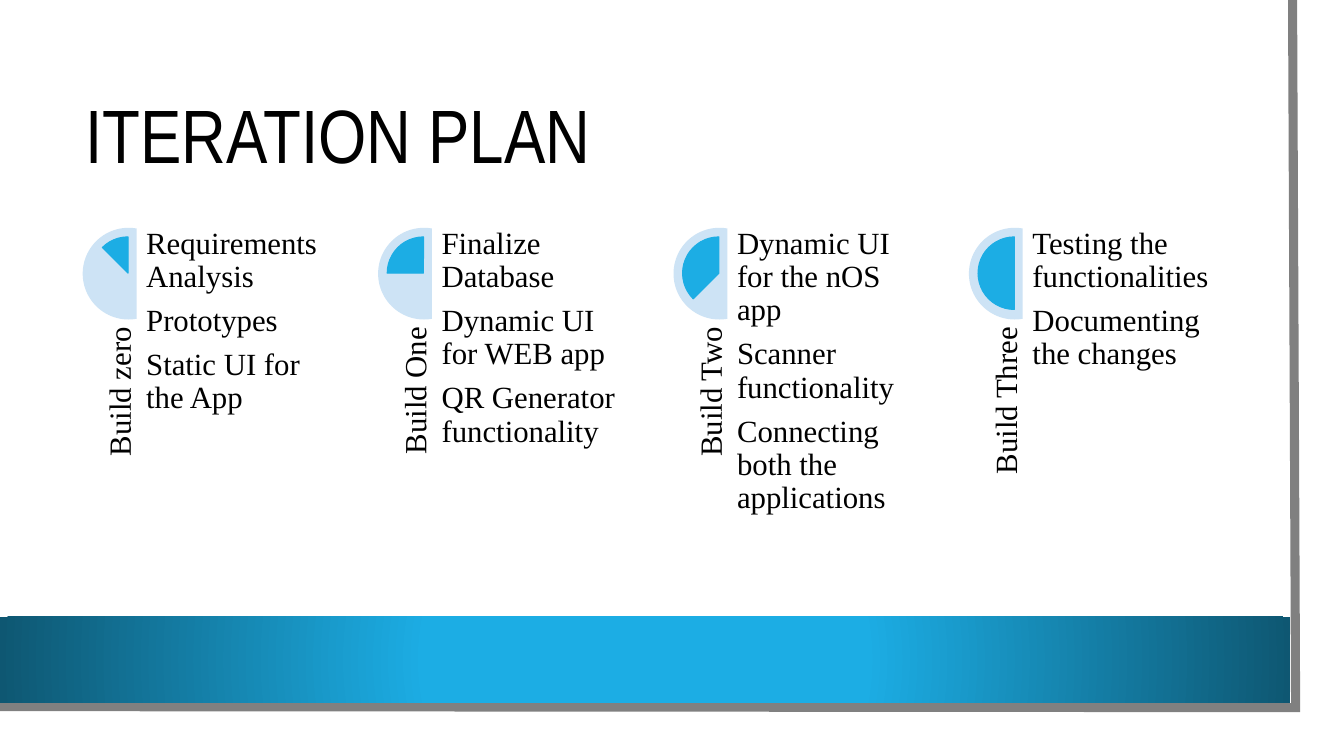
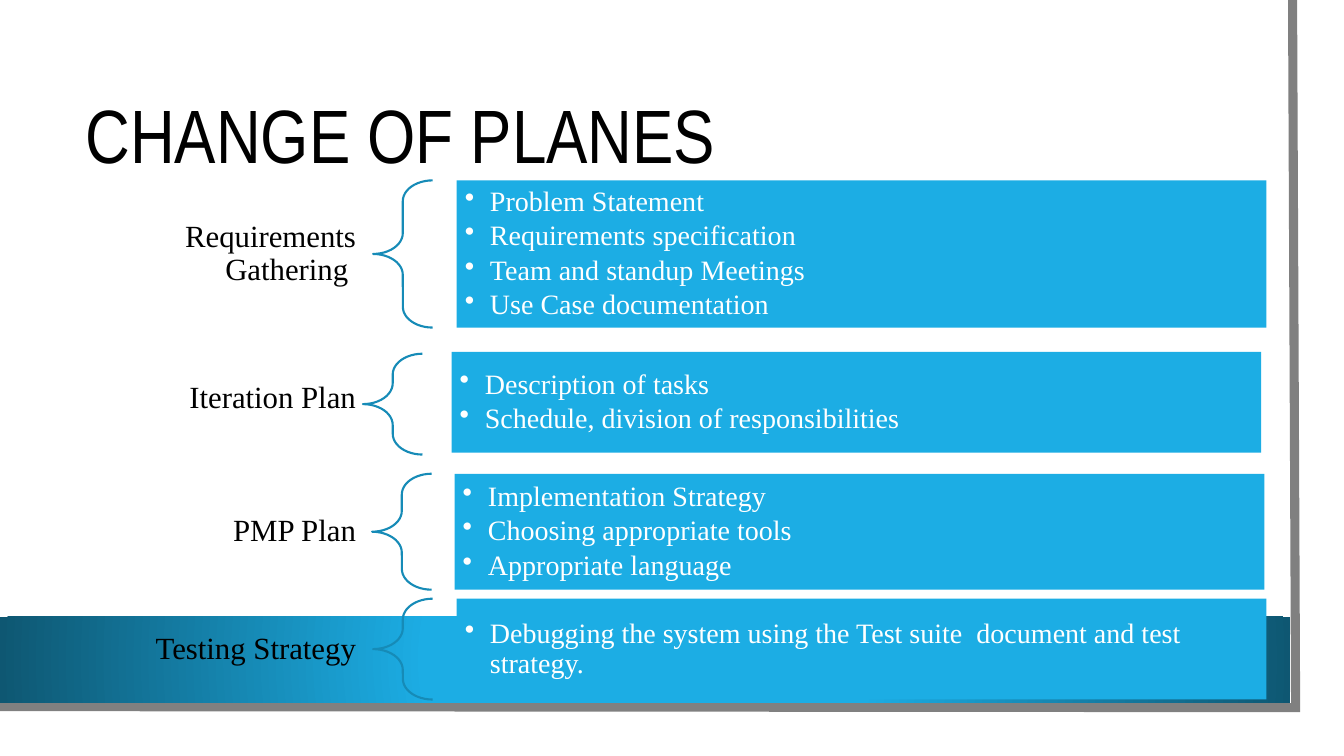
import dataclasses

import lxml.etree
import pptx
import pptx.dml.color
import pptx.enum.shapes
import pptx.enum.text
import pptx.oxml.ns
import pptx.util

Inches = pptx.util.Inches
Shape = pptx.enum.shapes.MSO_SHAPE
Anchor = pptx.enum.text.MSO_ANCHOR
Align = pptx.enum.text.PP_ALIGN
qn = pptx.oxml.ns.qn


@dataclasses.dataclass(frozen=True)
class Theme:
    accent: str = "1CADE4"
    accent_line: str = "168BB7"
    accent_dark: str = "0E5772"
    accent_pale: str = "CDE3F5"
    frame: str = "808080"
    ink: str = "000000"
    paper: str = "FFFFFF"
    title_font: str = "Arial Narrow"
    body_font: str = "Times New Roman"
    title_size: int = 54
    body_size: int = 22
    list_size: int = 20


THEME = Theme()

BUILDS = [
    ("Build zero", ["Requirements Analysis", "Prototypes", "Static UI for the App"]),
    ("Build One", ["Finalize Database", "Dynamic UI for WEB app", "QR Generator functionality"]),
    ("Build Two", ["Dynamic UI for the nOS app", "Scanner functionality",
                   "Connecting both the applications"]),
    ("Build Three", ["Testing the functionalities", "Documenting the changes"]),
]


@dataclasses.dataclass(frozen=True)
class Change:
    label: str
    label_top: float
    brace: tuple  # left, top
    panel: tuple  # left, top
    height: float
    items: list


CHANGES = [
    Change("Requirements Gathering ", 2.02, (3.7, 1.79), (4.53, 1.79), 1.46,
           ["Problem Statement", "Requirements specification",
            "Team and standup Meetings", "Use Case documentation"]),
    Change("Iteration Plan", 3.45, (3.6, 3.51), (4.48, 3.49), 1,
           ["Description of tasks", "Schedule, division of responsibilities"]),
    Change("PMP Plan", 4.77, (3.69, 4.7), (4.51, 4.7), 1.15,
           ["Implementation Strategy", "Choosing appropriate tools", "Appropriate language"]),
    Change("Testing Strategy", 5.94, (3.7, 5.94), (4.53, 5.94), 1,
           ["Debugging the system using the Test suite  document and test strategy."]),
]


def rgb(value):
    return pptx.dml.color.RGBColor.from_string(value)


def add_bullet(paragraph, indent=0.25):
    properties = paragraph._p.get_or_add_pPr()
    properties.set("marL", str(Inches(indent)))
    properties.set("indent", str(-Inches(indent)))
    lxml.etree.SubElement(properties, qn("a:buChar"), char="•")


def write_text(shape, lines, size=THEME.body_size, font=THEME.body_font, color=THEME.ink,
               align=Align.LEFT, anchor=Anchor.TOP, insets=(0, 0), gap=0.35, bullets=False):
    """Write one paragraph per line; gap is the space after, as a share of the type size."""
    frame = shape.text_frame
    frame.word_wrap = True
    frame.vertical_anchor = anchor
    frame.margin_left = frame.margin_right = Inches(insets[0])
    frame.margin_top = frame.margin_bottom = Inches(insets[1])
    for index, line in enumerate(lines):
        paragraph = frame.add_paragraph() if index else frame.paragraphs[0]
        paragraph.alignment = align
        paragraph.line_spacing = 0.9
        paragraph.space_after = pptx.util.Pt(size * gap)
        if bullets:
            add_bullet(paragraph)
        run = paragraph.add_run()
        run.text = line
        run.font.size = pptx.util.Pt(size)
        run.font.name = font
        run.font.color.rgb = rgb(color)


def add_text(slide, box, lines, **text_format):
    shape = slide.shapes.add_textbox(*map(Inches, box))
    write_text(shape, lines, **text_format)
    return shape


def add_shape(slide, kind, box, fill=None, line=None, line_width=0.75, adjustments=()):
    shape = slide.shapes.add_shape(kind, *map(Inches, box))
    shape.shadow.inherit = False
    if fill:
        shape.fill.solid()
        shape.fill.fore_color.rgb = rgb(fill)
    else:
        shape.fill.background()
    if line:
        shape.line.color.rgb = rgb(line)
        shape.line.width = pptx.util.Pt(line_width)
    else:
        shape.line.fill.background()
    for index, value in enumerate(adjustments):
        shape.adjustments[index] = value
    return shape


def add_frame(slide):
    """Grey edge along the right and the bottom of the page."""
    builder = slide.shapes.build_freeform(Inches(12.82), 0)
    builder.add_line_segments(
        [(Inches(12.85), Inches(7.02)), (Inches(-0.03), Inches(7.01))], close=False)
    edge = builder.convert_to_shape()
    edge.shadow.inherit = False
    edge.fill.background()
    edge.line.color.rgb = rgb(THEME.frame)
    edge.line.width = pptx.util.Pt(6.5)
    lxml.etree.SubElement(edge.line._ln, qn("a:miter"), lim="800000")


def add_band(slide, box):
    """Bottom band with a gradient that darkens away from its centre."""
    band = add_shape(slide, Shape.RECTANGLE, box)
    band.fill.gradient()
    stops = ((0.34, THEME.accent), (1, THEME.accent_dark))
    for stop, (position, color) in zip(band.fill.gradient_stops, stops):
        stop.position = position
        stop.color.rgb = rgb(color)
    linear = band._element.spPr.find(".//" + qn("a:lin"))
    radial = lxml.etree.Element(qn("a:path"), path="circle")
    lxml.etree.SubElement(radial, qn("a:fillToRect"), l="50000", t="50000", r="50000", b="50000")
    linear.getparent().replace(linear, radial)


def add_base_slide(presentation, title):
    slide = presentation.slides.add_slide(presentation.slide_layouts[6])
    add_frame(slide)
    add_band(slide, (0, 6.12, 12.8, 0.85))
    add_text(slide, (0.75, 0.75, 11.37, 1.26), [title], size=THEME.title_size,
             font=THEME.title_font, anchor=Anchor.MIDDLE, insets=(0.1, 0.05), gap=0)
    return slide


def add_build(slide, left, top, number, label, tasks):
    """Progress dial, upright label and task list of one build."""
    add_shape(slide, Shape.CHORD, (left, top, 0.91, 0.91), fill=THEME.accent_pale,
              adjustments=(48, 168))
    # Each build fills a further 45 degrees of the dial
    add_shape(slide, Shape.PIE, (left + 0.09, top + 0.09, 0.72, 0.72), fill=THEME.accent,
              line=THEME.accent, adjustments=(162 - 27 * number, 162))
    name = add_text(slide, (left - 1.04, top + 2.03, 2.63, 0.54), [label],
                    align=Align.RIGHT, anchor=Anchor.BOTTOM)
    name.rotation = 270
    add_text(slide, (left + 0.63, top, 1.81, 3.62), tasks)


def add_change(slide, change):
    """Label, brace and bulleted panel of one change."""
    add_text(slide, (0.75, change.label_top, 2.95, 1), [change.label], align=Align.RIGHT,
             anchor=Anchor.MIDDLE, insets=(0.17, 0.06))
    add_shape(slide, Shape.LEFT_BRACE, (*change.brace, 0.59, change.height),
              line=THEME.accent_line, line_width=1.5, adjustments=(0.35, 0.5))
    panel = add_shape(slide, Shape.RECTANGLE, (*change.panel, 8.03, change.height),
                      fill=THEME.accent)
    write_text(panel, change.items, size=THEME.list_size, color=THEME.paper,
               anchor=Anchor.MIDDLE, insets=(0.08, 0.08), gap=0.15, bullets=True)


def add_iteration_slide(presentation):
    slide = add_base_slide(presentation, "ITERATION PLAN")
    for index, (label, tasks) in enumerate(BUILDS):
        add_build(slide, 0.82 + 2.93 * index, 2.26, index + 1, label, tasks)


def add_changes_slide(presentation):
    slide = add_base_slide(presentation, "CHANGE OF PLANES")
    for change in CHANGES:
        add_change(slide, change)


def main():
    presentation = pptx.Presentation()
    presentation.slide_width = Inches(13.33)
    presentation.slide_height = Inches(7.5)
    add_iteration_slide(presentation)
    add_changes_slide(presentation)
    presentation.save("out.pptx")


if __name__ == "__main__":
    main()
